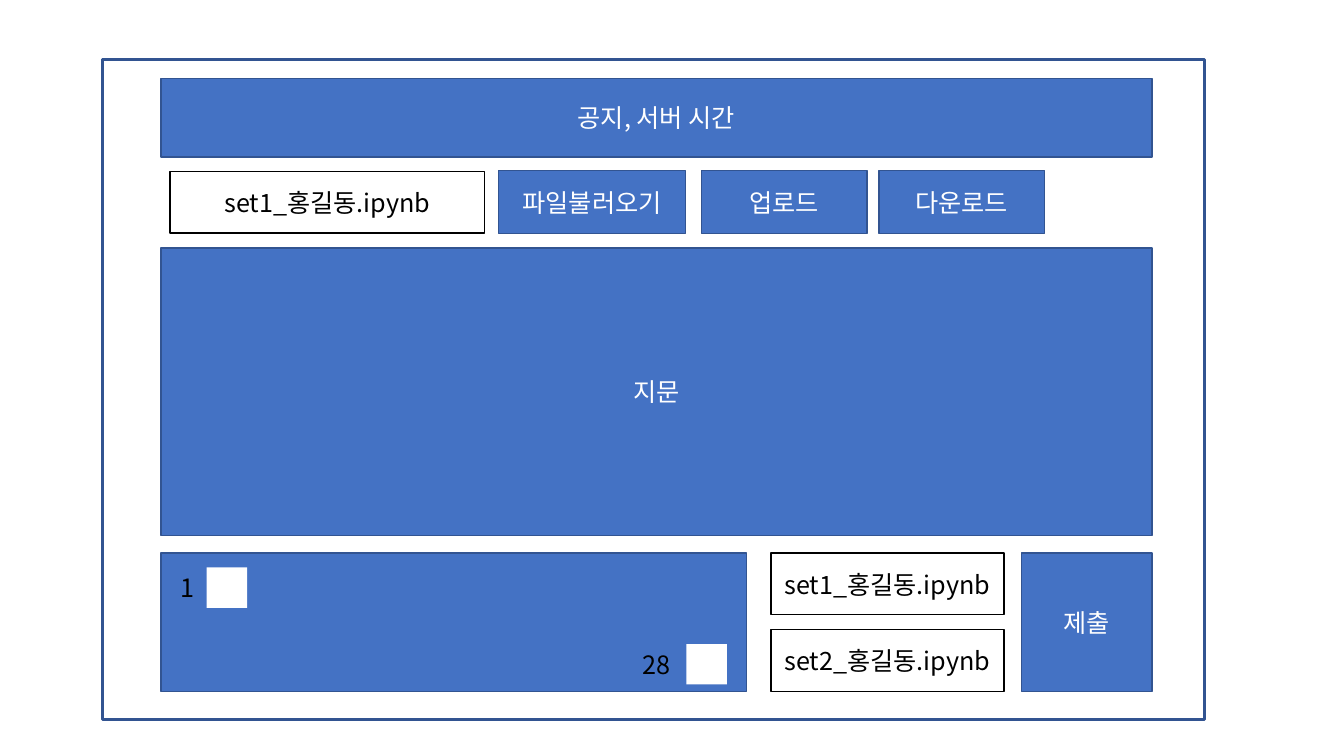
from lxml.etree import SubElement
from pptx import Presentation
from pptx.dml.color import RGBColor
from pptx.enum.shapes import MSO_SHAPE
from pptx.enum.text import MSO_ANCHOR, PP_ALIGN
from pptx.oxml.ns import qn
from pptx.util import Cm, Pt

BLUE = RGBColor(0x44, 0x72, 0xC4)
NAVY = RGBColor(0x32, 0x54, 0x91)
WHITE = RGBColor(0xFF, 0xFF, 0xFF)
BLACK = RGBColor(0x00, 0x00, 0x00)
FONT = "Noto Sans CJK KR"


def write(frame, text, color, align):
    frame.word_wrap = True
    paragraph = frame.paragraphs[0]
    paragraph.alignment = align
    paragraph.font.size = Pt(18)
    paragraph.font.name = FONT
    paragraph.font.color.rgb = color
    run = paragraph.add_run()
    run.text = text
    # Hangul takes its typeface from the East Asian font slot
    SubElement(run._r.get_or_add_rPr(), qn("a:ea"), typeface=FONT)
    run.font.size = Pt(18)
    run.font.name = FONT
    run.font.color.rgb = color


def add_panel(slide, box, text="", fill=BLUE, line=NAVY, color=WHITE, weight=1):
    """Draw a rectangle; fill or line may be None. Lengths in the box are in cm."""
    panel = slide.shapes.add_shape(MSO_SHAPE.RECTANGLE, *map(Cm, box))
    panel.shadow.inherit = False
    if fill is None:
        panel.fill.background()
    else:
        panel.fill.solid()
        panel.fill.fore_color.rgb = fill
    if line is None:
        panel.line.fill.background()
    else:
        panel.line.color.rgb = line
        panel.line.width = Pt(weight)
    if text:
        panel.text_frame.vertical_anchor = MSO_ANCHOR.MIDDLE
        write(panel.text_frame, text, color, PP_ALIGN.CENTER)


def add_file_name(slide, box, text):
    add_panel(slide, box, text, fill=WHITE, line=BLACK, color=BLACK)


def add_toolbar(slide, left, top, height):
    add_file_name(slide, (left + 0.23, top + 0.03, 7.92, 1.55), "set1_홍길동.ipynb")
    buttons = (("파일불러오기", 8.51, 4.7), ("업로드", 13.62, 4.17), ("다운로드", 18.09, 4.17))
    for label, offset, width in buttons:
        add_panel(slide, (left + offset, top, width, height), label)


def add_answers(slide, left, top, width, height):
    """Draw the answer sheet with its first and last numbered checkboxes."""
    add_panel(slide, (left, top, width, height))
    side = 1.02
    answers = (("1", 0.23, 0.79, 1.15, 0.36), ("28", 11.89, 1.37, 13.24, 2.29))
    for number, number_x, number_width, check_x, y in answers:
        number_box = slide.shapes.add_textbox(
            Cm(left + number_x), Cm(top + y), Cm(number_width), Cm(side))
        write(number_box.text_frame, number, BLACK, PP_ALIGN.LEFT)
        add_panel(slide, (left + check_x, top + y, side, side), fill=WHITE, line=None)


def add_submission(slide, left, top, width, height):
    """Draw the stacked files to hand in and the submit button."""
    file_height = 1.55
    for index, name in enumerate(("set1_홍길동.ipynb", "set2_홍길동.ipynb")):
        y = top + index * (height - file_height)
        add_file_name(slide, (left, y, 5.87, file_height), name)
    submit_width = 3.28
    add_panel(slide, (left + width - submit_width, top, submit_width, height), "제출")


def add_exam_screen(slide, left, top, width, height):
    add_panel(slide, (left, top, width, height), fill=None, weight=2.25)
    inner_left, inner_width = left + 1.47, 24.97
    bottom_top, bottom_height = top + 12.44, 3.48
    add_panel(slide, (inner_left, top + 0.48, inner_width, 1.98), "공지, 서버 시간")
    add_panel(slide, (inner_left, top + 4.75, inner_width, 7.24), "지문")
    add_toolbar(slide, inner_left, top + 2.79, 1.6)
    add_answers(slide, inner_left, bottom_top, 14.76, bottom_height)
    add_submission(slide, inner_left + 15.37, bottom_top, inner_width - 15.37, bottom_height)


def main():
    presentation = Presentation()
    presentation.slide_width = Cm(33.87)
    presentation.slide_height = Cm(19.05)
    slide = presentation.slides.add_slide(presentation.slide_layouts[6])
    add_exam_screen(slide, 2.59, 1.5, 27.76, 16.64)
    presentation.save("out.pptx")


if __name__ == "__main__":
    main()
